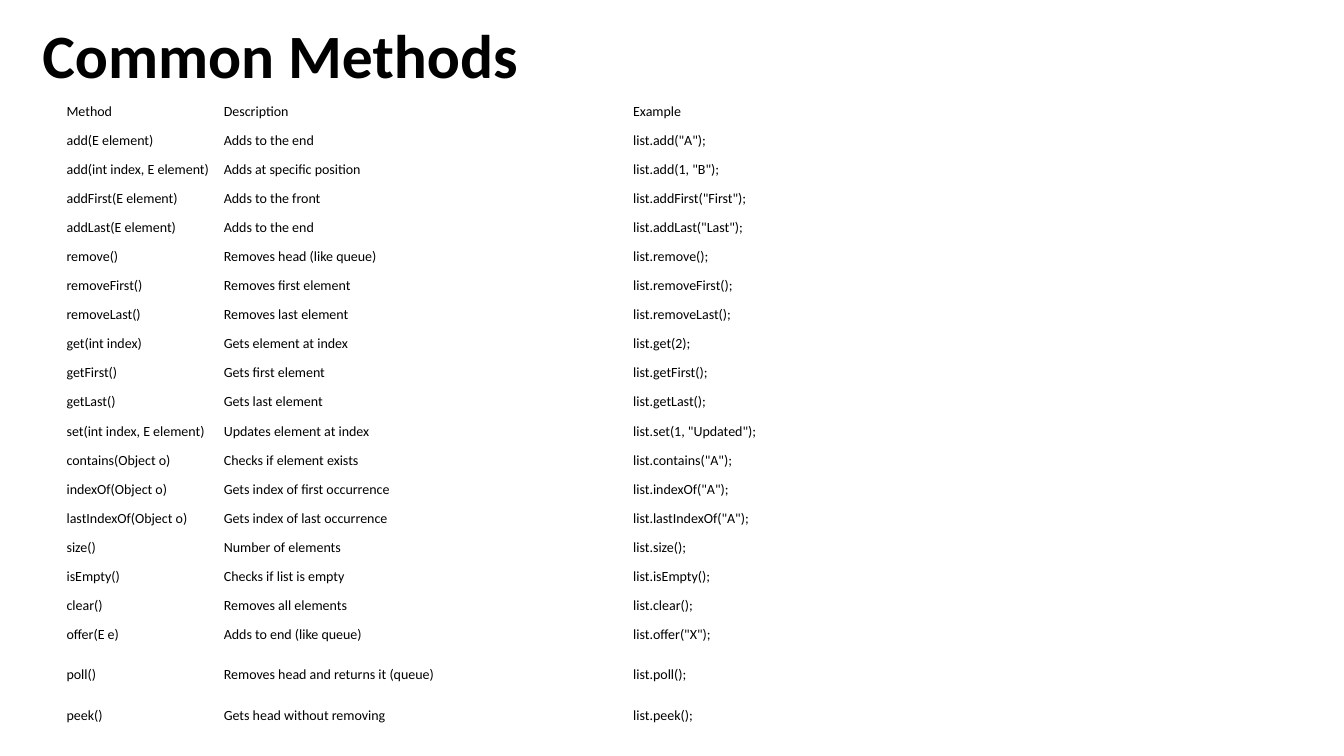
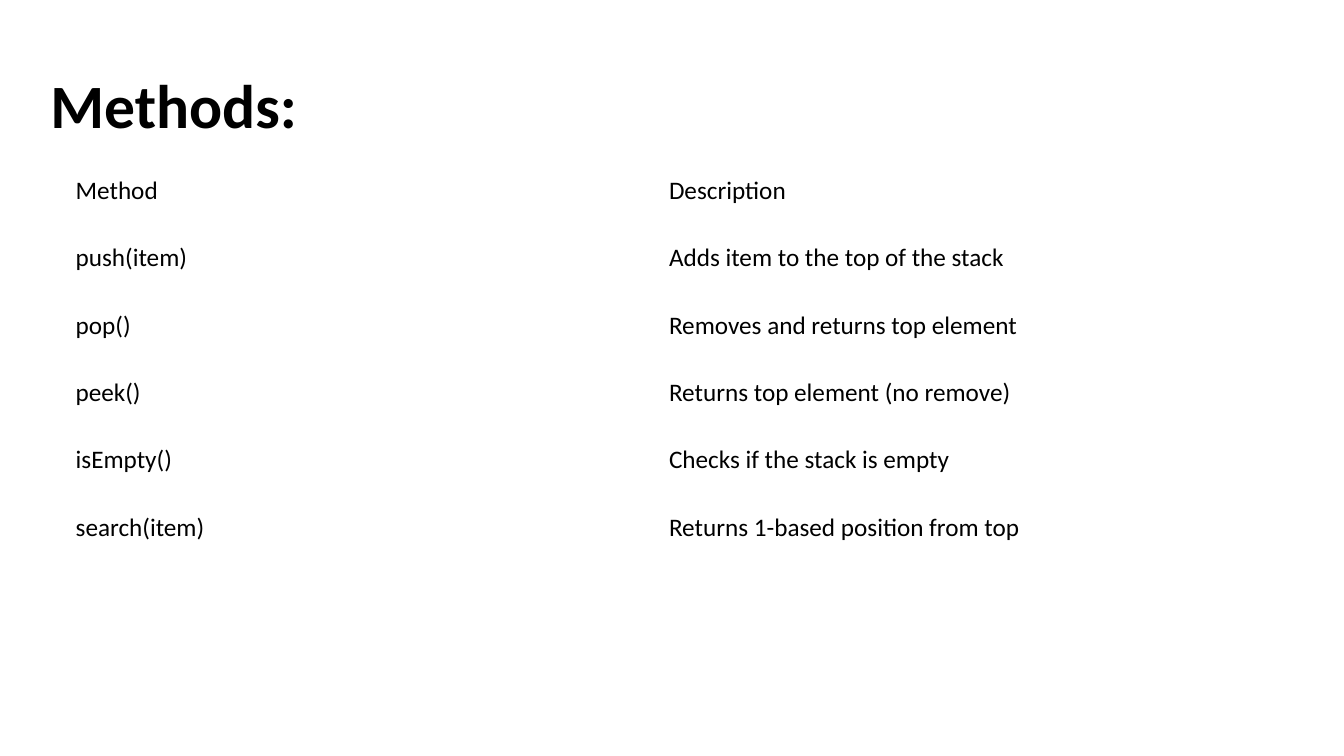
"""Build two slides that list the methods of a linked list and of a stack."""
from pptx import Presentation
from pptx import util as u
from pptx.dml import color
from pptx.enum import text

COLORS = {"ink": "000000", "page": "FFFFFF"}
FONT = "Calibri"

deck = Presentation()
deck.slide_width, deck.slide_height = u.Inches(13.333), u.Inches(7.5)
COLUMN = deck.slide_width / 100
ROW = deck.slide_height / 100


def place(columns, rows):
    return round(columns * COLUMN), round(rows * ROW)


def format_text(frame, size, bold=False):
    for para in frame.paragraphs:
        para.alignment = text.PP_ALIGN.LEFT
        for span in para.runs:
            span.font.name = FONT
            span.font.size = u.Pt(size)
            span.font.bold = bold
            span.font.color.rgb = color.RGBColor.from_string(COLORS["ink"])


LIST_METHODS = [
    ("Method", "Description", "Example"),
    ("add(E element)", "Adds to the end", 'list.add("A");'),
    ("add(int index, E element)", "Adds at specific position", 'list.add(1, "B");'),
    ("addFirst(E element)", "Adds to the front", 'list.addFirst("First");'),
    ("addLast(E element)", "Adds to the end", 'list.addLast("Last");'),
    ("remove()", "Removes head (like queue)", "list.remove();"),
    ("removeFirst()", "Removes first element", "list.removeFirst();"),
    ("removeLast()", "Removes last element", "list.removeLast();"),
    ("get(int index)", "Gets element at index", "list.get(2);"),
    ("getFirst()", "Gets first element", "list.getFirst();"),
    ("getLast()", "Gets last element", "list.getLast();"),
    ("set(int index, E element)", "Updates element at index", 'list.set(1, "Updated");'),
    ("contains(Object o)", "Checks if element exists", 'list.contains("A");'),
    ("indexOf(Object o)", "Gets index of first occurrence", 'list.indexOf("A");'),
    ("lastIndexOf(Object o)", "Gets index of last occurrence", 'list.lastIndexOf("A");'),
    ("size()", "Number of elements", "list.size();"),
    ("isEmpty()", "Checks if list is empty", "list.isEmpty();"),
    ("clear()", "Removes all elements", "list.clear();"),
    ("offer(E e)", "Adds to end (like queue)", 'list.offer("X");'),
    ("poll()", "Removes head and returns it (queue)", "list.poll();"),
    ("peek()", "Gets head without removing", "list.peek();"),
]

STACK_METHODS = [
    ("Method", "Description"),
    ("push(item)", "Adds item to the top of the stack"),
    ("pop()", "Removes and returns top element"),
    ("peek()", "Returns top element (no remove)"),
    ("isEmpty()", "Checks if the stack is empty"),
    ("search(item)", "Returns 1-based position from top"),
]

PAGES = [
    {"title": "Common Methods", "title_at": (2.4, -1.87), "table_at": (4.58, 12.8),
     "methods": LIST_METHODS, "widths": (11.7, 30.46, 30.46), "row": 3.85,
     "tall_rows": {19: 6.8}, "size": 10, "insets": (0.05, 0.03)},
    {"title": "Methods:", "title_at": (3, 4.67), "table_at": (4.88, 20.8),
     "methods": STACK_METHODS, "widths": (44.15, 44.15), "row": 8.91,
     "tall_rows": {}, "size": 18, "insets": (0.1, 0.05)},
]

for page in PAGES:
    slide = deck.slides.add_slide(deck.slide_layouts[5])
    slide.background.fill.solid()
    slide.background.fill.fore_color.rgb = color.RGBColor.from_string(COLORS["page"])

    title = slide.shapes.title
    title.left, title.top = place(*page["title_at"])
    title.width, title.height = place(86.25, 19.33)
    frame = title.text_frame
    frame.text = page["title"]
    frame.word_wrap = True
    frame.auto_size = text.MSO_AUTO_SIZE.NONE
    frame.vertical_anchor = text.MSO_ANCHOR.MIDDLE
    frame.paragraphs[0].line_spacing = 0.9
    format_text(frame, 44, bold=True)

    methods, widths = page["methods"], page["widths"]
    heights = [page["tall_rows"].get(index, page["row"]) for index in range(len(methods))]
    table = slide.shapes.add_table(
        len(methods), len(widths), *place(*page["table_at"]),
        *place(sum(widths), sum(heights))).table
    table.first_row = table.horz_banding = False
    for column, width in zip(table.columns, widths):
        column.width = round(width * COLUMN)
    for row, height, words in zip(table.rows, heights, methods):
        row.height = round(height * ROW)
        for cell, word in zip(row.cells, words):
            side, edge = map(u.Inches, page["insets"])
            cell.margin_left = cell.margin_right = side
            cell.margin_top = cell.margin_bottom = edge
            cell.vertical_anchor = text.MSO_ANCHOR.MIDDLE
            cell.fill.background()
            cell.text_frame.text = word
            format_text(cell.text_frame, page["size"])

deck.save("out.pptx")
